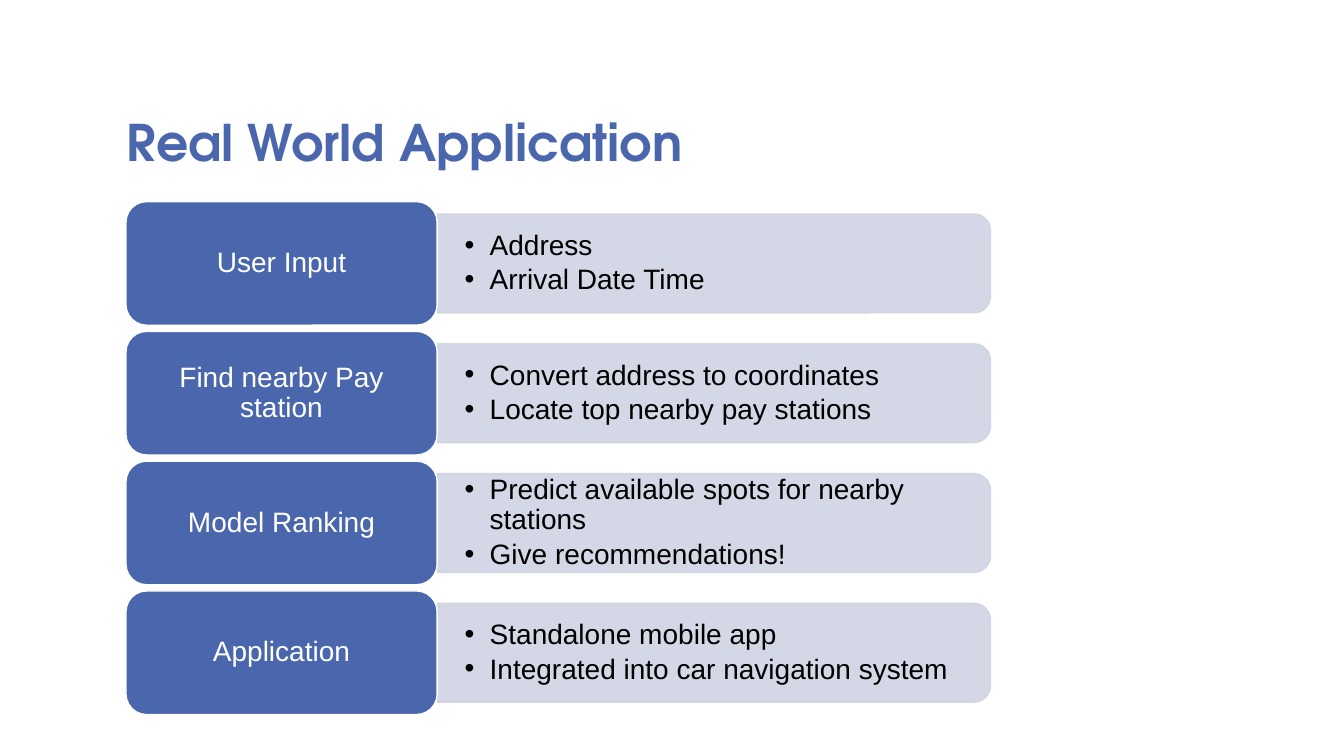
from lxml.etree import SubElement
from pptx import Presentation
from pptx.dml.color import RGBColor
from pptx.enum.shapes import MSO_SHAPE
from pptx.enum.text import MSO_ANCHOR, PP_ALIGN
from pptx.oxml.ns import qn
from pptx.util import Pt

TITLE = "Real World Application"
STEPS = [
    ("User Input", ["Address", "Arrival Date Time"]),
    ("Find nearby Pay station",
     ["Convert address to coordinates", "Locate top nearby pay stations"]),
    ("Model Ranking",
     ["Predict available spots for nearby stations", "Give recommendations!"]),
    ("Application",
     ["Standalone mobile app", "Integrated into car navigation system"]),
]
COLORS = {"blue": "4A66AC", "pale": "D0D3E3", "white": "FFFFFF", "black": "000000"}
LEFT, TOP = 90, 144
TILE_W, TILE_H, PITCH = 222.3, 88.3, 92.7
PANEL_W, PANEL_H = 395.2, 70.6
LIST_W, LIST_H = 392.4, 63.4


def paint(shape, fill, line, alpha=None):
    shape.shadow.inherit = False
    shape.fill.solid()
    shape.fill.fore_color.rgb = RGBColor.from_string(COLORS[fill])
    shape.line.color.rgb = RGBColor.from_string(COLORS[line])
    shape.line.width = Pt(1)
    if alpha:
        for tone in shape._element.spPr.iter(qn("a:srgbClr")):
            SubElement(tone, qn("a:alpha"), val=str(alpha * 1000))


def write(shape, lines, size=20, color="black", font="Arial", bold=False,
          align=PP_ALIGN.LEFT, anchor=MSO_ANCHOR.MIDDLE, pad=(7.2, 3.6),
          lead=0.9, after=0, bullet=False):
    frame = shape.text_frame
    frame.word_wrap = True
    frame.vertical_anchor = anchor
    frame.margin_left = frame.margin_right = Pt(pad[0])
    frame.margin_top = frame.margin_bottom = Pt(pad[1])
    for i, line in enumerate(lines):
        para = frame.add_paragraph() if i else frame.paragraphs[0]
        para.alignment = align
        para.line_spacing = lead
        para.space_after = Pt(after)
        run = para.add_run()
        run.text = line
        run.font.size = Pt(size)
        run.font.name = font
        run.font.bold = bold
        run.font.color.rgb = RGBColor.from_string(COLORS[color])
        if bullet:
            props = para._p.get_or_add_pPr()
            props.set("marL", str(Pt(18)))
            props.set("indent", str(-Pt(18)))
            SubElement(props, qn("a:buFont"), typeface="Arial")
            SubElement(props, qn("a:buChar"), char="•")


def main():
    deck = Presentation()
    deck.slide_width, deck.slide_height = Pt(960), Pt(540)
    slide = deck.slides.add_slide(deck.slide_layouts[6])
    shapes = slide.shapes

    title = shapes.add_textbox(Pt(83.5), Pt(41.8), Pt(684), Pt(84.2))
    write(title, [TITLE], size=36, color="blue", font="TeX Gyre Adventor",
          bold=True, anchor=MSO_ANCHOR.BOTTOM, lead=0.8)

    edge = LEFT + TILE_W
    for row, (name, points) in enumerate(STEPS):
        top = TOP + row * PITCH
        mid = top + TILE_H / 2

        panel = shapes.add_shape(
            MSO_SHAPE.ROUND_2_SAME_RECTANGLE,
            Pt(edge + (PANEL_W - PANEL_H) / 2), Pt(mid - PANEL_W / 2),
            Pt(PANEL_H), Pt(PANEL_W))
        panel.rotation = 90
        paint(panel, "pale", "pale", alpha=90)

        notes = shapes.add_textbox(
            Pt(edge), Pt(mid - LIST_H / 2), Pt(LIST_W), Pt(LIST_H))
        write(notes, points, pad=(19.5, 9.8), after=3, bullet=True)

        tile = shapes.add_shape(
            MSO_SHAPE.ROUNDED_RECTANGLE, Pt(LEFT), Pt(top), Pt(TILE_W), Pt(TILE_H))
        paint(tile, "blue", "white")
        write(tile, [name], color="white", align=PP_ALIGN.CENTER, pad=(6, 3))

    deck.save("out.pptx")


if __name__ == "__main__":
    main()
